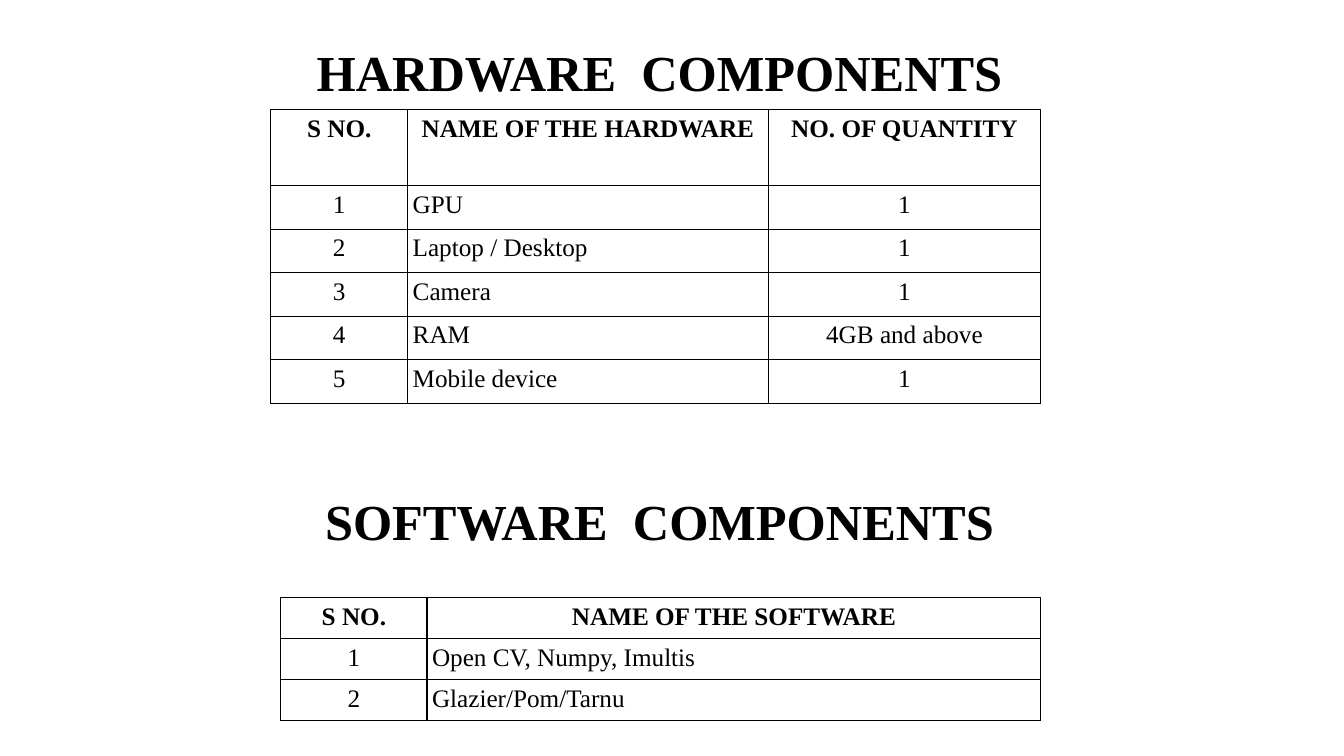
import dataclasses
import typing

import lxml.etree
import pptx
import pptx.dml.color
import pptx.enum.text
import pptx.oxml.ns
import pptx.util

Pt = pptx.util.Pt
Align = pptx.enum.text.PP_ALIGN
Anchor = pptx.enum.text.MSO_ANCHOR


@dataclasses.dataclass(frozen=True)
class Theme:
    font: str = "Times New Roman"
    ink: str = "000000"
    paper: str = "FFFFFF"
    title: float = 36
    body: float = 18
    line: float = 1
    inset: float = 3.6


@dataclasses.dataclass(frozen=True)
class Title:
    text: str
    left: float
    top: float
    width: float
    height: float = 49.7


@dataclasses.dataclass(frozen=True)
class Grid:
    left: float
    top: float
    widths: tuple[float, ...]
    head: float
    row: float
    cells: tuple[tuple[str, ...], ...]


THEME = Theme()

TITLES = (
    Title("HARDWARE  COMPONENTS", 66.2, 28.8, 810),
    Title("SOFTWARE  COMPONENTS", 69.8, 349.9, 802.8),
)

GRIDS = (
    Grid(193.4, 78.4, (97.8, 257.6, 194.6), 54.2, 31.1, (
        ("S NO.", "NAME OF THE HARDWARE", "NO. OF QUANTITY"),
        ("1", "GPU", "1"),
        ("2", "Laptop / Desktop", "1"),
        ("3", "Camera", "1"),
        ("4", "RAM", "4GB and above"),
        ("5", "Mobile device", "1"),
    )),
    Grid(200.6, 427, (104.4, 438.5), 29.2, 29.2, (
        ("S NO.", "NAME OF THE SOFTWARE"),
        ("1", "Open CV, Numpy, Imultis"),
        ("2", "Glazier/Pom/Tarnu"),
    )),
)


def color(code: str) -> pptx.dml.color.RGBColor:
    return pptx.dml.color.RGBColor.from_string(code)


def write(frame: typing.Any, text: str, *, size: float, bold: bool = False,
          align: Align = Align.CENTER, space: float = 1) -> None:
    frame.word_wrap = True
    para = frame.paragraphs[0]
    para.alignment = align
    para.line_spacing = space
    run = para.add_run()
    run.text = text
    run.font.name = THEME.font
    run.font.size = Pt(size)
    run.font.bold = bold
    run.font.color.rgb = color(THEME.ink)


def pad(area: typing.Any) -> None:
    area.margin_left = area.margin_right = Pt(THEME.inset)
    area.margin_top = area.margin_bottom = Pt(THEME.inset)


def border(cell: typing.Any) -> None:
    props = cell._tc.get_or_add_tcPr()
    qn = pptx.oxml.ns.qn
    for side in ("lnL", "lnR", "lnT", "lnB"):
        line = lxml.etree.SubElement(props, qn(f"a:{side}"), w=str(Pt(THEME.line)))
        fill = lxml.etree.SubElement(line, qn("a:solidFill"))
        lxml.etree.SubElement(fill, qn("a:srgbClr"), val=THEME.ink)


def draw_title(slide: typing.Any, item: Title) -> None:
    box = slide.shapes.add_textbox(
        Pt(item.left), Pt(item.top), Pt(item.width), Pt(item.height))
    frame = box.text_frame
    pad(frame)
    frame.vertical_anchor = Anchor.MIDDLE
    write(frame, item.text, size=THEME.title, bold=True, space=0.9)


def draw_grid(slide: typing.Any, grid: Grid) -> None:
    count = len(grid.cells)
    height = grid.head + grid.row * (count - 1)
    table = slide.shapes.add_table(
        count, len(grid.widths), Pt(grid.left), Pt(grid.top),
        Pt(sum(grid.widths)), Pt(height)).table
    table.first_row = False
    table.horz_banding = False
    for col, width in zip(table.columns, grid.widths):
        col.width = Pt(width)
    for r, texts in enumerate(grid.cells):
        head = r == 0
        table.rows[r].height = Pt(grid.head if head else grid.row)
        for c, text in enumerate(texts):
            cell = table.cell(r, c)
            pad(cell)
            border(cell)
            cell.fill.solid()
            cell.fill.fore_color.rgb = color(THEME.paper)
            align = Align.LEFT if c == 1 and not head else Align.CENTER
            write(cell.text_frame, text, size=THEME.body, bold=head, align=align)


def main() -> None:
    deck = pptx.Presentation()
    deck.slide_width, deck.slide_height = Pt(960), Pt(540)
    slide = deck.slides.add_slide(deck.slide_layouts[6])
    for item, grid in zip(TITLES, GRIDS):
        draw_title(slide, item)
        draw_grid(slide, grid)
    deck.save("out.pptx")


if __name__ == "__main__":
    main()
